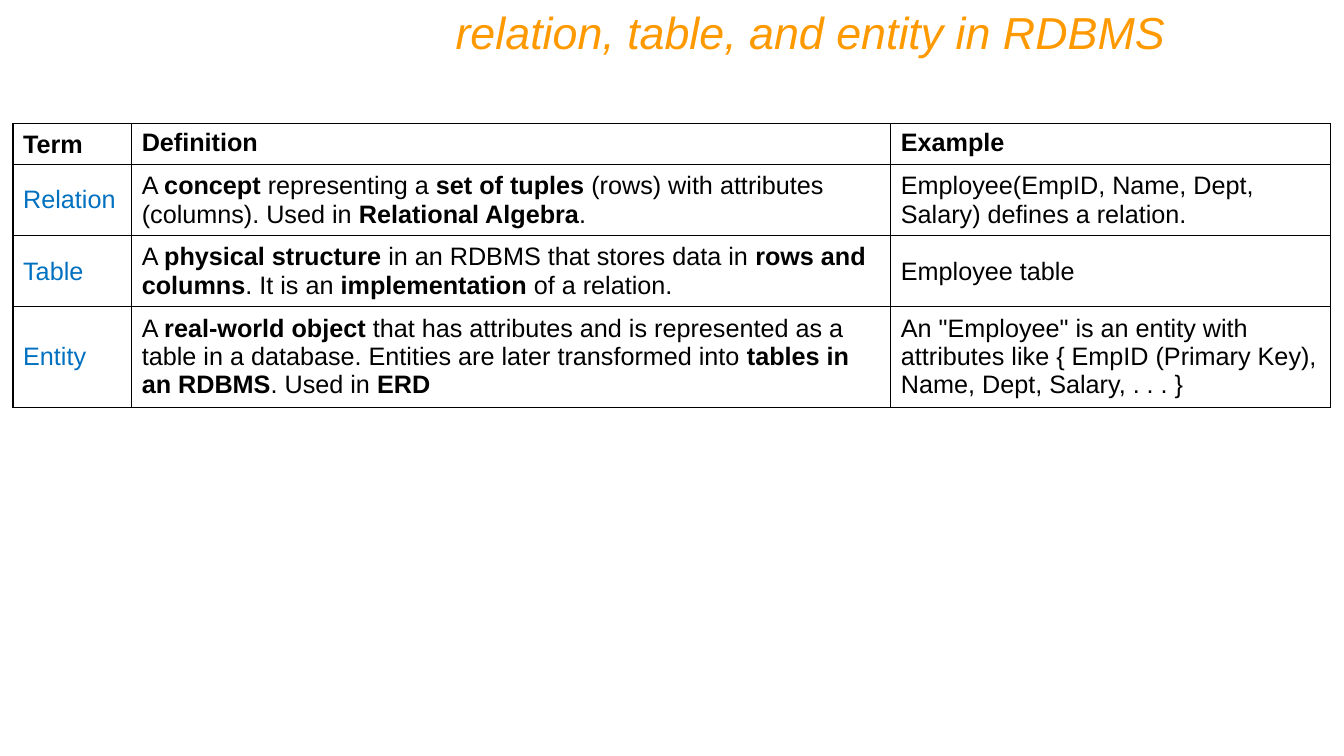
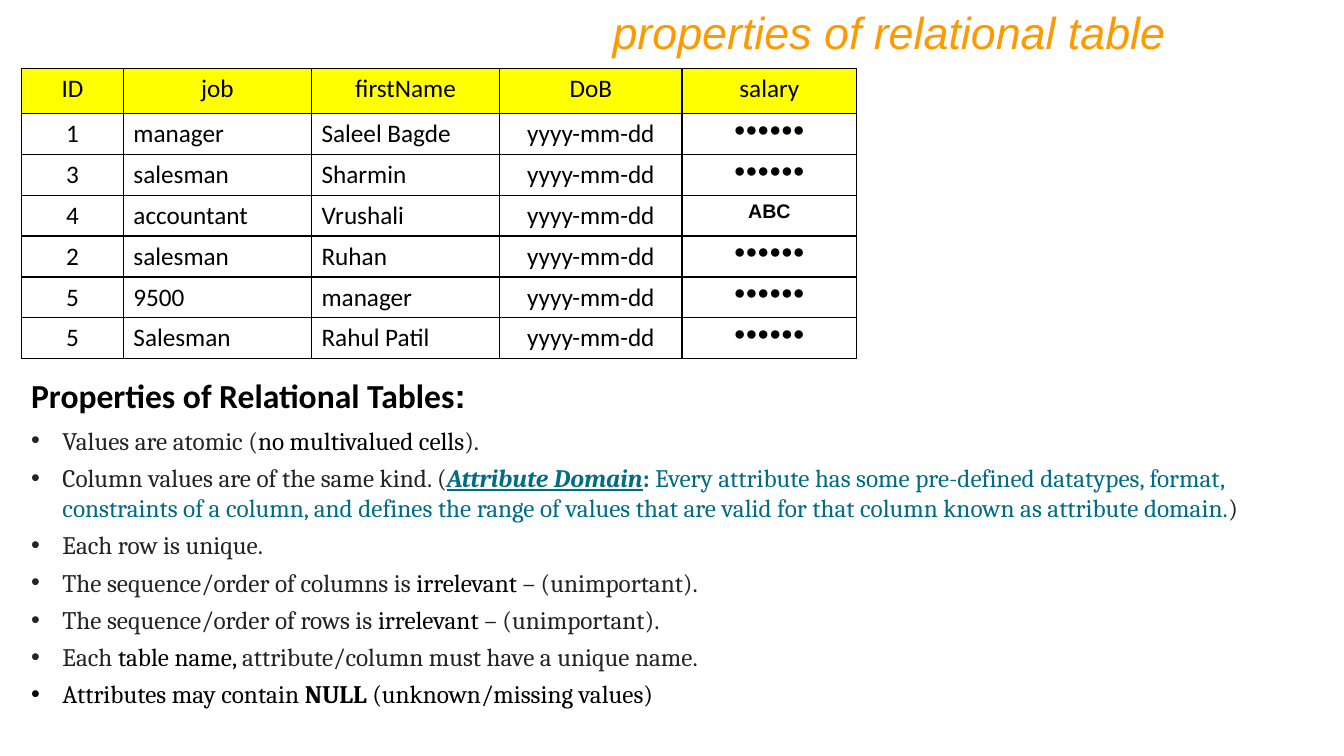
from dataclasses import dataclass

from lxml import etree
from pptx import Presentation
from pptx.dml.color import RGBColor
from pptx.enum.text import MSO_ANCHOR, MSO_AUTO_SIZE, PP_ALIGN
from pptx.oxml.ns import qn
from pptx.util import Cm, Pt

LEFT, CENTER, RIGHT = PP_ALIGN.LEFT, PP_ALIGN.CENTER, PP_ALIGN.RIGHT
TOP, MIDDLE = MSO_ANCHOR.TOP, MSO_ANCHOR.MIDDLE
NO_AUTOFIT = MSO_AUTO_SIZE.NONE

COLORS = {
    "title": "FF9900",
    "text": "000000",
    "term": "0070C0",
    "header": "FFFF00",
    "list": "23232A",
    "domain": "006C86",
}
TITLE_ONLY, TITLE_AND_BODY = 5, 1
BULLET_INDENT = Cm(0.79)


@dataclass(frozen=True)
class Span:
    text: str
    bold: bool = False
    color: str | None = None
    italic: bool = False
    underline: bool = False
    font: str | None = None


@dataclass(frozen=True)
class Style:
    font: str
    size: int
    color: str = "text"
    align: PP_ALIGN = LEFT
    italic: bool = False


@dataclass(frozen=True)
class Cell:
    spans: list[Span]
    style: Style
    anchor: MSO_ANCHOR = TOP
    fill: str | None = None


@dataclass(frozen=True)
class Item:
    spans: list[Span]
    style: Style
    gap: float
    bullet: bool = True


TITLE = Style("Arial", 32, "title", RIGHT, italic=True)
TERM = Style("Arial", 18, "term")
DEFINITION = Style("Arial", 18)
TEXT_CELL = Style("Calibri", 18)
CENTERED_CELL = Style("Calibri", 18, align=CENTER)
SALARY_CELL = Style("Arial", 14, align=CENTER)
HEADING = Style("Calibri", 24)
PROPERTY = Style("Cambria", 18, "list")
BLACK_PROPERTY = Style("Cambria", 18)

TERM_COLUMNS = [2.99, 19.13, 11.08]
TERM_ROWS = [1.03, 1.79, 1.79, 2.53]
TERM_HEADERS = ["Term", "Definition", "Example"]
TERMS = [
    (
        "Relation",
        [
            Span("A "), Span("concept", True), Span(" representing a "),
            Span("set of tuples", True),
            Span(" (rows) with attributes (columns). Used in "),
            Span("Relational Algebra", True), Span("."),
        ],
        "Employee(EmpID, Name, Dept, Salary) defines a relation.",
    ),
    (
        "Table",
        [
            Span("A "), Span("physical structure", True),
            Span(" in an RDBMS that stores data in "),
            Span("rows and columns", True), Span(". It is an "),
            Span("implementation", True), Span(" of a relation."),
        ],
        "Employee table",
    ),
    (
        "Entity",
        [
            Span("A "), Span("real-world object", True),
            Span(" that has attributes and is represented as a table in a database. "
                 "Entities are later transformed into "),
            Span("tables in an RDBMS", True), Span(". Used in "), Span("ERD", True),
        ],
        'An "Employee" is an entity with attributes like '
        "{ EmpID (Primary Key), Name, Dept, Salary, . . . }",
    ),
]

STAFF_COLUMNS = [2.57, 4.74, 4.74, 4.6, 4.4]
STAFF_STYLES = [CENTERED_CELL, TEXT_CELL, TEXT_CELL, CENTERED_CELL, SALARY_CELL]
STAFF_HEADERS = ["ID", "job", "firstName", "DoB", "salary"]
DATE, HIDDEN = "yyyy-mm-dd", "●●●●●●"
STAFF = [
    ("1", "manager", "Saleel Bagde", DATE, HIDDEN),
    ("3", "salesman", "Sharmin", DATE, HIDDEN),
    ("4", "accountant", "Vrushali", DATE, "ABC"),
    ("2", "salesman", "Ruhan", DATE, HIDDEN),
    ("5", "9500", "manager", DATE, HIDDEN),
    ("5", "Salesman", "Rahul Patil", DATE, HIDDEN),
]


def order_property(subject: str) -> list[Span]:
    return [
        Span(f"The sequence/order of {subject} is "),
        Span("irrelevant", color="text"),
        Span(" – (unimportant)."),
    ]


PROPERTIES = [
    Item([Span("Properties of Relational Tables", True), Span(":", True, font="Arial")],
         HEADING, 0, bullet=False),
    Item([Span("Values are atomic ("), Span("no multivalued cells", color="text"),
          Span(").")], PROPERTY, 7),
    Item([
        Span("Column values are of the same kind. ("),
        Span("Attribute Domain", True, "domain", italic=True, underline=True),
        Span(": ", True, "domain"),
        Span("Every attribute has some pre-defined datatypes, format, constraints of a "
             "column, and defines the range of values that are valid for that column "
             "known as attribute domain.", color="domain"),
        Span(")"),
    ], PROPERTY, 5),
    Item([Span("Each row is unique.")], PROPERTY, 5),
    Item(order_property("columns"), PROPERTY, 5),
    Item(order_property("rows"), PROPERTY, 5),
    Item([Span("Each "), Span("table name, ", color="text"),
          Span("attribute/column must have a unique name.")], PROPERTY, 5),
    Item([Span("Attributes may contain "), Span("NULL", True),
          Span(" (unknown/missing values)")], BLACK_PROPERTY, 5),
]


def rgb(name: str) -> RGBColor:
    return RGBColor.from_string(COLORS[name])


def write(paragraph, spans: list[Span], style: Style) -> None:
    paragraph.alignment = style.align
    paragraph.font.name = style.font
    paragraph.font.size = Pt(style.size)
    paragraph.font.italic = style.italic
    paragraph.font.color.rgb = rgb(style.color)
    for span in spans:
        run = paragraph.add_run()
        run.text = span.text
        if span.bold:
            run.font.bold = True
        if span.italic:
            run.font.italic = True
        if span.underline:
            run.font.underline = True
        if span.font:
            run.font.name = span.font
        if span.color:
            run.font.color.rgb = rgb(span.color)


def place(shape, left: float, top: float, width: float, height: float):
    shape.left, shape.top = Cm(left), Cm(top)
    shape.width, shape.height = Cm(width), Cm(height)
    frame = shape.text_frame
    frame.word_wrap = True
    frame.auto_size = NO_AUTOFIT
    frame.vertical_anchor = TOP
    return frame


def add_page(deck, layout: int, title: str):
    page = deck.slides.add_slide(deck.slide_layouts[layout])
    frame = place(page.shapes.title, 4.24, 0, 25.4, 1.7)
    write(frame.paragraphs[0], [Span(title)], TITLE)
    return page


def add_borders(cell) -> None:
    properties = cell._tc.get_or_add_tcPr()
    for index, side in enumerate(("a:lnL", "a:lnR", "a:lnT", "a:lnB")):
        line = etree.Element(qn(side), w=str(Pt(1)))
        fill = etree.SubElement(line, qn("a:solidFill"))
        etree.SubElement(fill, qn("a:srgbClr"), val=COLORS["text"])
        properties.insert(index, line)


def add_grid(page, left: float, top: float, columns: list[float],
             rows: list[float], cells: list[list[Cell]]) -> None:
    table = page.shapes.add_table(
        len(rows), len(columns), Cm(left), Cm(top), Cm(sum(columns)), Cm(sum(rows))
    ).table
    table.first_row = table.horz_banding = False
    for column, width in zip(table.columns, columns):
        column.width = Cm(width)
    for row, height, contents in zip(table.rows, rows, cells):
        row.height = Cm(height)
        for box, content in zip(row.cells, contents):
            box.vertical_anchor = content.anchor
            if content.fill:
                box.fill.solid()
                box.fill.fore_color.rgb = rgb(content.fill)
            else:
                box.fill.background()
            add_borders(box)
            write(box.text_frame.paragraphs[0], content.spans, content.style)


def set_bullet(paragraph, bullet: bool) -> None:
    properties = paragraph._p.get_or_add_pPr()
    indent = BULLET_INDENT if bullet else 0
    properties.set("marL", str(indent))
    properties.set("indent", str(-indent))
    if bullet:
        etree.SubElement(properties, qn("a:buFont"), typeface="Arial")
        etree.SubElement(properties, qn("a:buChar"), char="•")
    else:
        etree.SubElement(properties, qn("a:buNone"))


def add_items(frame, items: list[Item]) -> None:
    for index, item in enumerate(items):
        paragraph = frame.add_paragraph() if index else frame.paragraphs[0]
        set_bullet(paragraph, item.bullet)
        paragraph.space_before = Pt(item.gap)
        write(paragraph, item.spans, item.style)


def build_terms_page(deck) -> None:
    page = add_page(deck, TITLE_ONLY, "relation, table, and entity in RDBMS")
    cells = [[Cell([Span(name, True)], DEFINITION, TOP if index else MIDDLE)
              for index, name in enumerate(TERM_HEADERS)]]
    for term, definition, example in TERMS:
        cells.append([
            Cell([Span(term)], TERM, MIDDLE),
            Cell(definition, DEFINITION, MIDDLE),
            Cell([Span(example)], DEFINITION, MIDDLE),
        ])
    add_grid(page, 0.33, 3.12, TERM_COLUMNS, TERM_ROWS, cells)


def build_properties_page(deck) -> None:
    page = add_page(deck, TITLE_AND_BODY, "properties of relational table")
    cells = [[Cell([Span(name)], CENTERED_CELL, fill="header") for name in STAFF_HEADERS]]
    for person in STAFF:
        cells.append([Cell([Span(value, bold=value == "ABC")], style)
                      for value, style in zip(person, STAFF_STYLES)])
    rows = [1.13] + [1.03] * len(STAFF)
    add_grid(page, 0.54, 1.73, STAFF_COLUMNS, rows, cells)
    add_items(place(page.placeholders[1], 0.53, 9.32, 32.79, 9.5), PROPERTIES)


def main() -> None:
    deck = Presentation()
    deck.slide_width, deck.slide_height = Cm(33.87), Cm(19.05)
    build_terms_page(deck)
    build_properties_page(deck)
    deck.save("out.pptx")


if __name__ == "__main__":
    main()
